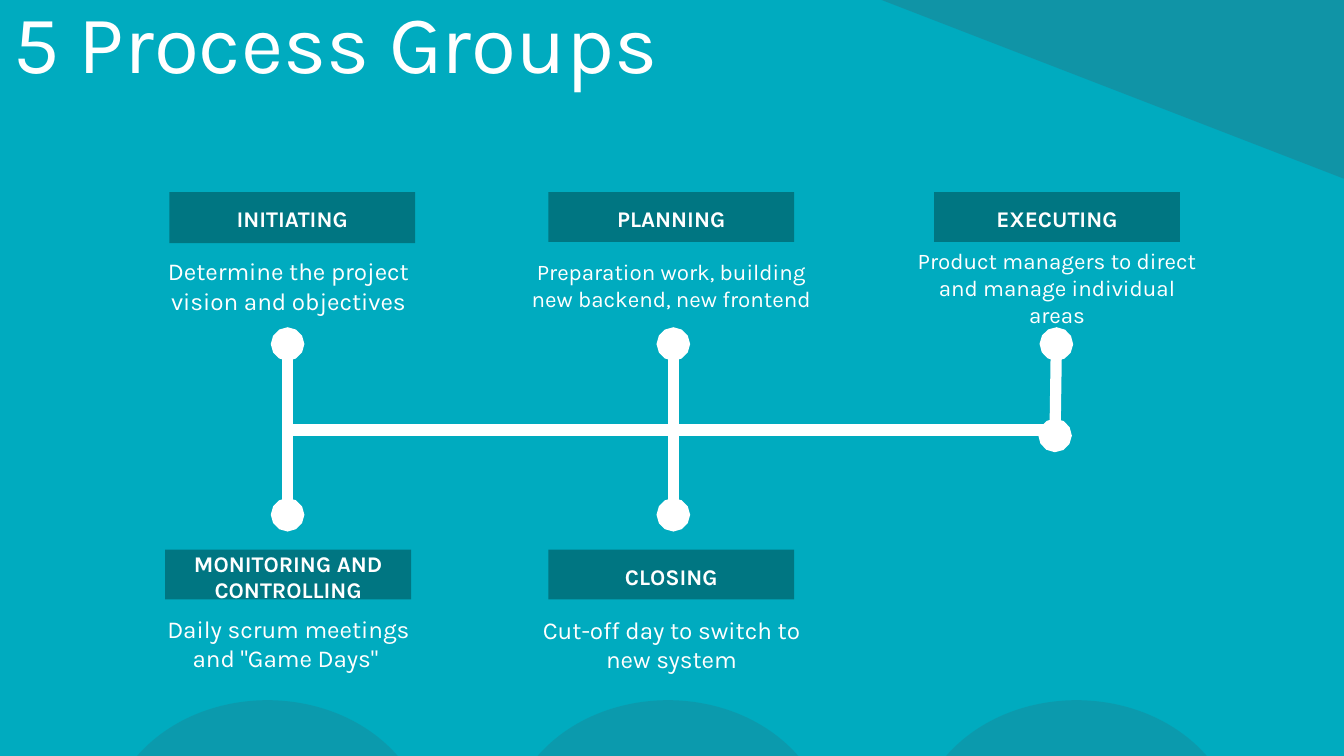
from pptx import Presentation
from pptx import util as u
from pptx.dml.color import RGBColor
from pptx.enum import shapes, text
from pptx.oxml import parse_xml
from pptx.oxml.ns import nsdecls, qn

Inches = u.Inches
WHITE, TEAL, SHADE, BACKGROUND = "FFFFFF", "007682", "336574", "00ABBF"
LABEL_WIDTH = 1.83
DETAIL_WIDTH = 2.29

# label, label left/top/height, label inset, detail, detail left/top, detail size
GROUPS = [
    ("INITIATING", 1.26, 1.43, 0.38, 0.1,
     "Determine the project vision and objectives", 1, 1.81, 13),
    ("PLANNING", 4.08, 1.43, 0.37, 0.1,
     "Preparation work, building new backend, new frontend", 3.85, 1.82, 12),
    ("EXECUTING", 6.95, 1.43, 0.37, 0.1,
     "Product managers to direct and manage individual areas", 6.72, 1.74, 12),
    ("MONITORING AND CONTROLLING", 1.23, 4.09, 0.37, 0,
     'Daily scrum meetings and "Game Days" ', 1, 4.47, 13),
    ("CLOSING", 4.08, 4.09, 0.37, 0.1,
     "Cut-off day to switch to new system", 3.85, 4.48, 13),
]


def rgb(color):
    return RGBColor.from_string(color)


def add_filled(slide, kind, left, top, width, height, color, opacity=100):
    shape = slide.shapes.add_shape(
        kind, Inches(left), Inches(top), Inches(width), Inches(height))
    shape.shadow.inherit = False
    shape.fill.solid()
    shape.fill.fore_color.rgb = rgb(color)
    shape.line.fill.background()
    if opacity < 100:
        fill_color = shape._element.spPr.find(qn("a:solidFill"))[0]
        fill_color.append(parse_xml(
            f'<a:alpha {nsdecls("a")} val="{opacity * 1000}"/>'))
    return shape


def write(shape, words, size=12, bold=False, inset=0.1,
          align=text.PP_ALIGN.CENTER, anchor=text.MSO_ANCHOR.TOP):
    frame = shape.text_frame
    frame.word_wrap = True
    frame.vertical_anchor = anchor
    frame.margin_left = frame.margin_right = Inches(0.1)
    frame.margin_top = frame.margin_bottom = Inches(inset)
    paragraph = frame.paragraphs[0]
    paragraph.alignment = align
    run = paragraph.add_run()
    run.text = words
    run.font.name = "Karla"
    run.font.size = u.Pt(size)
    run.font.bold = bold
    run.font.color.rgb = rgb(WHITE)


def add_text(slide, words, left, top, width, height, **style):
    box = slide.shapes.add_textbox(
        Inches(left), Inches(top), Inches(width), Inches(height))
    write(box, words, **style)


def add_line(slide, x1, y1, x2, y2, dots=False):
    """Draw a thick white line, with round dots at both ends if asked."""
    line = slide.shapes.add_connector(
        shapes.MSO_CONNECTOR.STRAIGHT,
        Inches(x1), Inches(y1), Inches(x2), Inches(y2))
    line.line.color.rgb = rgb(WHITE)
    line.line.width = u.Pt(6)
    if dots:
        for end in ("headEnd", "tailEnd"):
            line.line._get_or_add_ln().append(parse_xml(
                f'<a:{end} {nsdecls("a")} type="oval" w="med" len="med"/>'))
    line._element.spPr.append(parse_xml(f'<a:effectLst {nsdecls("a")}/>'))


def add_decoration(slide):
    corner = add_filled(slide, shapes.MSO_SHAPE.RIGHT_TRIANGLE,
                        6.56, 0, 3.44, 1.33, SHADE, opacity=32)
    corner.rotation = 180
    for left in (0.79, 3.77, 6.81):
        add_filled(slide, shapes.MSO_SHAPE.OVAL,
                   left, 5.21, 2.4, 2.02, SHADE, opacity=23)


def add_group(slide, label, left, top, height, inset,
              detail, detail_left, detail_top, detail_size):
    bar = add_filled(slide, shapes.MSO_SHAPE.RECTANGLE,
                     left, top, LABEL_WIDTH, height, TEAL)
    write(bar, label, bold=True, inset=inset)
    add_text(slide, detail, detail_left, detail_top, DETAIL_WIDTH, 0.74,
             size=detail_size)


def main():
    deck = Presentation()
    deck.slide_width = Inches(10)
    deck.slide_height = Inches(10 * 9 / 16)
    slide = deck.slides.add_slide(deck.slide_layouts[6])
    slide.background.fill.solid()
    slide.background.fill.fore_color.rgb = rgb(BACKGROUND)

    add_decoration(slide)
    add_text(slide, "5 Process Groups", 0, -0.01, 8.44, 0.63, size=44,
             align=text.PP_ALIGN.LEFT, anchor=text.MSO_ANCHOR.MIDDLE)
    for group in GROUPS:
        add_group(slide, *group)

    add_line(slide, 2.17, 3.2, 7.85, 3.2)
    for x in (2.14, 5.01):
        add_line(slide, x, 2.56, x, 3.83, dots=True)
    add_line(slide, 7.86, 2.56, 7.85, 3.24, dots=True)

    deck.save("out.pptx")


if __name__ == "__main__":
    main()
